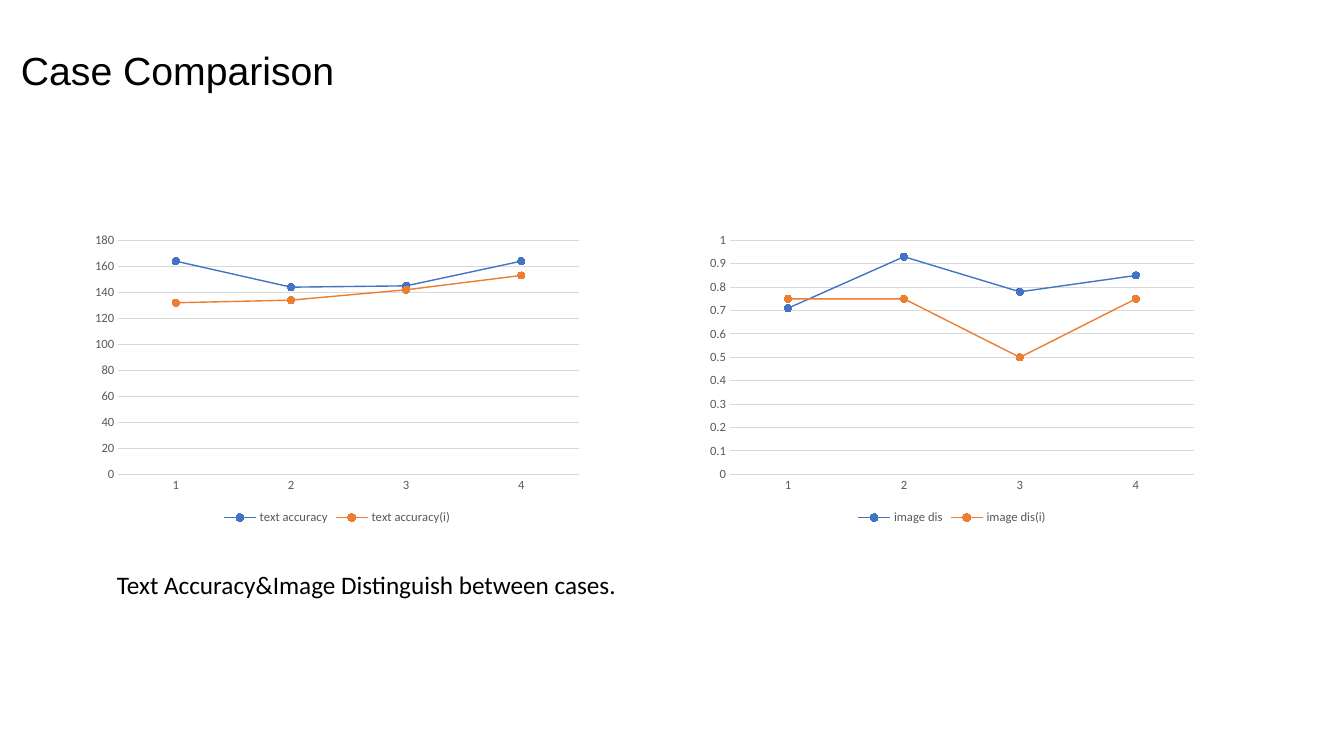
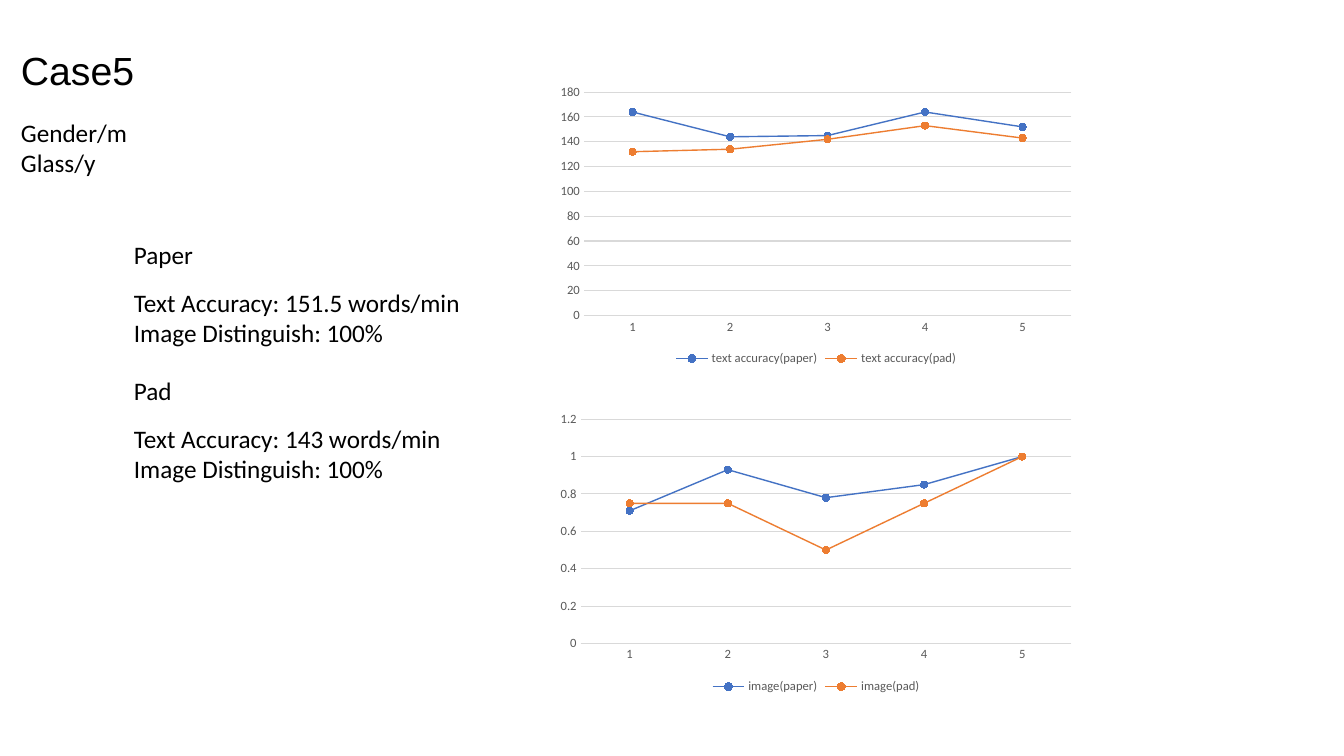
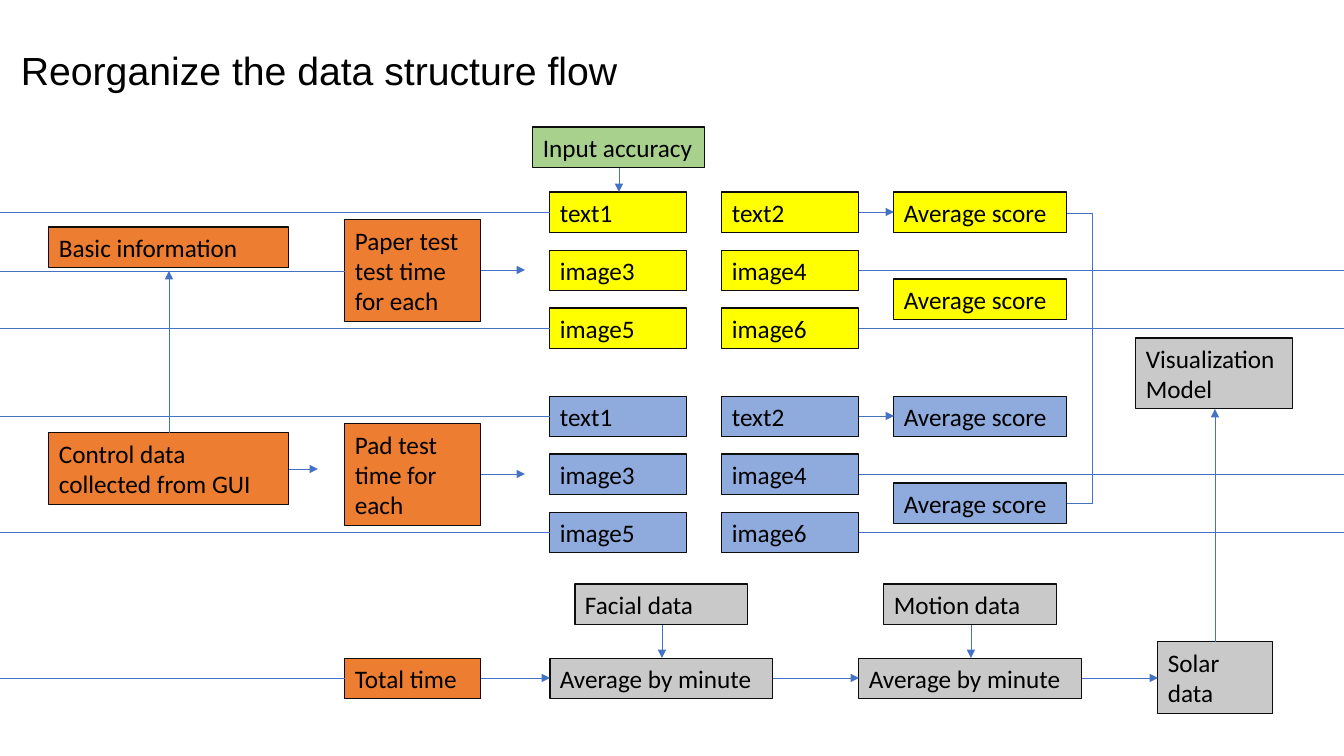
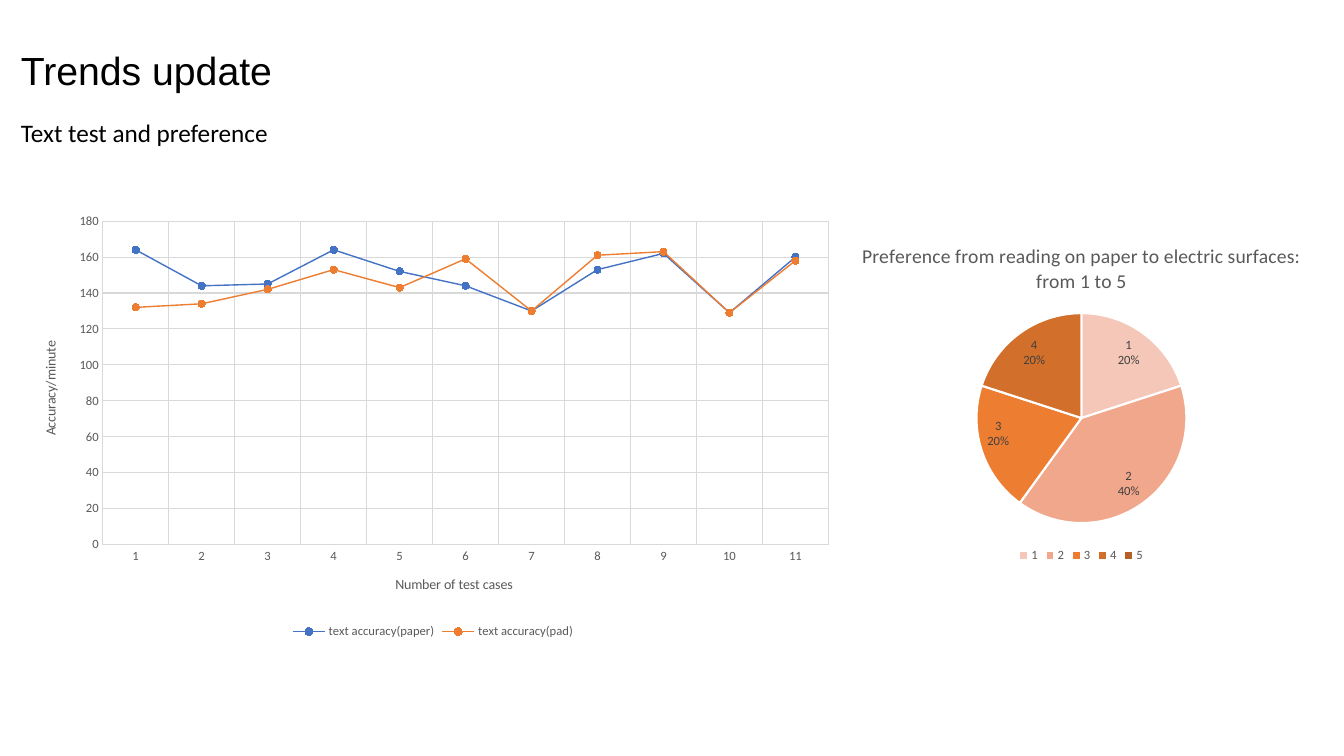
"""Build a four-slide report on reading tests."""
from lxml import etree
from pptx import Presentation
from pptx import util as u
from pptx.chart.data import CategoryChartData
from pptx.dml.color import RGBColor
from pptx.enum import chart as charts, shapes, text
from pptx.oxml import ns

PIXEL = 914400 / 100.8
PAGE_WIDTH, PAGE_HEIGHT = 1344, 756
BLACK, OUTLINE, GREY_TEXT, LABEL_TEXT, GRID = "000000", "0D0D0D", "595959", "404040", "D9D9D9"
BLUE, ORANGE, WHITE = "4472C4", "ED7D31", "FFFFFF"
YELLOW, LIGHT_BLUE, GREEN, SILVER = "FFFF00", "8FAADC", "A9D18E", "C9C9C9"
PIE_COLOURS = ["F5C7B8", "F1A78B", ORANGE, "D26F2B", "B45F25"]
PAPER_WORDS = [164, 144, 145, 164, 152, 144, 130, 153, 162, 129, 160]
PAD_WORDS = [132, 134, 142, 153, 143, 159, 130, 161, 163, 129, 158]
PAPER_IMAGES = [0.71, 0.93, 0.78, 0.85, 1]
PAD_IMAGES = [0.75, 0.75, 0.5, 0.75, 1]


def px(*lengths):
    """Turn pixel lengths into EMU."""
    return [u.Emu(round(length * PIXEL)) for length in lengths]


def colour(value):
    """Turn a hex string into a colour."""
    return RGBColor.from_string(value)


def style_font(font, size, value, name="Calibri"):
    """Give a font its size, colour and typeface."""
    font.size, font.name, font.bold = u.Pt(size), name, False
    font.color.rgb = colour(value)


def style_line(line, value, width):
    """Give a line its colour and width in points."""
    line.color.rgb, line.width = colour(value), u.Pt(width)


def write(frame, lines, size=18, name="Calibri"):
    """Fill a wrapping text frame with one paragraph for each line."""
    frame.word_wrap = True
    frame.text = "\n".join(lines)
    for para in frame.paragraphs:
        para.alignment = text.PP_ALIGN.LEFT
        for span in para.runs:
            style_font(span.font, size, BLACK, name)


def add_text(page, box, *lines):
    """Place plain text in a box."""
    write(page.shapes.add_textbox(*px(*box)).text_frame, lines)


def add_page(deck, title):
    """Add a blank slide with the shared title."""
    page = deck.slides.add_slide(deck.slide_layouts[6])
    frame = page.shapes.add_textbox(*px(11, 42, 779, 70)).text_frame
    frame.margin_left = frame.margin_right = frame.margin_top = frame.margin_bottom = u.Inches(0.1)
    write(frame, [title], 28, "Arial")
    frame.paragraphs[0].line_spacing = 0.9
    return page


def add_chart(page, box, kind, categories, series):
    """Place a chart with the shared fonts and bottom legend."""
    data = CategoryChartData()
    data.categories = categories
    for name, values in series.items():
        data.add_series(name, values)
    chart = page.shapes.add_chart(kind, *px(*box), data).chart
    style_font(chart.font, 10, BLACK)
    chart.has_title = False
    chart.has_legend = True
    chart.legend.position = charts.XL_LEGEND_POSITION.BOTTOM
    chart.legend.include_in_layout = False
    style_font(chart.legend.font, 9, GREY_TEXT)
    return chart


def add_chart_title(owner, frame, wording, size):
    """Write the title of a chart or an axis."""
    owner.has_title = True
    frame.text = wording
    style_font(frame.paragraphs[0].runs[0].font, size, GREY_TEXT)


def add_line_chart(page, box, series):
    """Place a two-series line chart with numbered cases."""
    count = len(next(iter(series.values())))
    categories = [str(number + 1) for number in range(count)]
    chart = add_chart(page, box, charts.XL_CHART_TYPE.LINE_MARKERS, categories, series)
    chart.plots[0].vary_by_categories = False
    for axis in (chart.category_axis, chart.value_axis):
        axis.major_tick_mark = axis.minor_tick_mark = charts.XL_TICK_MARK.NONE
        style_font(axis.tick_labels.font, 9, GREY_TEXT)
    style_line(chart.category_axis.format.line, GRID, 0.75)
    chart.value_axis.format.line.fill.background()
    style_line(chart.value_axis.major_gridlines.format.line, GRID, 0.75)
    for line, value in zip(chart.plots[0].series, (BLUE, ORANGE)):
        line.smooth = False
        style_line(line.format.line, value, 1)
        marker = line.marker
        marker.style, marker.size = charts.XL_MARKER_STYLE.CIRCLE, 5
        marker.format.fill.solid()
        marker.format.fill.fore_color.rgb = colour(value)
        style_line(marker.format.line, value, 0.75)
    return chart


def add_preference_pie(page, box):
    """Place the pie of reading preferences."""
    shares = {"Series 1": [20, 40, 20, 20, 0]}
    chart = add_chart(page, box, charts.XL_CHART_TYPE.PIE, list("12345"), shares)
    add_chart_title(chart, chart.chart_title.text_frame,
                    "Preference from reading on paper to electric surfaces: from 1 to 5", 14)
    series = chart.plots[0].series[0]
    for index, value in enumerate(PIE_COLOURS):
        style = series.points[index].format
        style.fill.solid()
        style.fill.fore_color.rgb = colour(value)
        style_line(style.line, WHITE, 1.5)
    labels = series.data_labels
    labels.show_value = False
    labels.show_category_name = labels.show_percentage = True
    labels.position = charts.XL_LABEL_POSITION.INSIDE_END
    style_font(labels.font, 9, LABEL_TEXT)
    node = labels._element
    separator = etree.Element(ns.qn("c:separator"))
    separator.text = "\n"
    node.find(ns.qn("c:showBubbleSize")).addnext(separator)
    empty_share = etree.Element(ns.qn("c:dLbl"))
    etree.SubElement(empty_share, ns.qn("c:idx")).set("val", "4")
    etree.SubElement(empty_share, ns.qn("c:delete")).set("val", "1")
    node.insert(0, empty_share)


def add_box(page, box, wording, fill):
    """Place a filled, outlined box of text."""
    shape = page.shapes.add_shape(shapes.MSO_SHAPE.RECTANGLE, *px(*box))
    shape.shadow.inherit = False
    shape.fill.solid()
    shape.fill.fore_color.rgb = colour(fill)
    style_line(shape.line, OUTLINE, 0.75)
    shape.text_frame.vertical_anchor = text.MSO_ANCHOR.TOP
    write(shape.text_frame, [wording])


def add_link(page, start, end, arrow=True):
    """Draw a straight link, with an arrowhead at its end if wanted."""
    link = page.shapes.add_connector(shapes.MSO_CONNECTOR.STRAIGHT, *px(*start, *end))
    style_line(link.line, BLUE, 0.5)
    if arrow:
        head = etree.SubElement(link.line._get_or_add_ln(), ns.qn("a:tailEnd"))
        head.set("type", "triangle")
    etree.SubElement(link._element.spPr, ns.qn("a:effectLst"))


def add_bracket(page, points):
    """Draw an open outline through the points."""
    builder = page.shapes.build_freeform(*points[0], scale=PIXEL)
    builder.add_line_segments(points[1:], close=False)
    bracket = builder.convert_to_shape()
    bracket.shadow.inherit = False
    bracket.fill.background()
    style_line(bracket.line, BLUE, 0.5)


def add_test(page, top, wording, fill):
    """Place one test: its stage, six items, two scores and links."""
    left, width, height, column, row = 550, 137, 41, 172, 58
    middles = [top + height // 2 + row * index for index in range(3)]
    right = left + column + width
    add_box(page, (345, top + 28, 136, 102), wording, ORANGE)
    for index, item in enumerate(["text1", "text2", "image3", "image4", "image5", "image6"]):
        place = (left + column * (index % 2), top + row * (index // 2), width, height)
        add_box(page, place, item, fill)
    for offset in (0, 87):
        add_box(page, (left + 2 * column, top + offset, 173, height), "Average score", fill)
    for middle in (middles[0], middles[2]):
        add_link(page, (0, middle), (left, middle), arrow=False)
    for middle in middles[1:]:
        add_link(page, (right, middle), (PAGE_WIDTH, middle), arrow=False)
    add_link(page, (481, middles[1]), (525, middles[1]))
    add_link(page, (right, middles[0]), (left + 2 * column, middles[0]))


def add_sensor_row(page, top):
    """Place the bottom row, from total time to the model."""
    middle = top + 20
    add_box(page, (345, top, 136, 41), "Total time", ORANGE)
    add_link(page, (0, middle), (345, middle), arrow=False)
    for left, wording in ((550, "Facial data"), (859, "Motion data")):
        add_box(page, (left + 25, top - 74, 173, 41), wording, SILVER)
        add_box(page, (left, top, 223, 41), "Average by minute", SILVER)
        add_link(page, (left + 112, top - 33), (left + 112, top))
    add_box(page, (1158, top - 16, 115, 72), "Solar data", SILVER)
    add_box(page, (1136, 338, 157, 71), "Visualization Model", SILVER)
    for start, end in ((481, 550), (773, 859), (1082, 1158)):
        add_link(page, (start, middle), (end, middle))
    add_link(page, (1215, top - 16), (1215, 409))


def add_comparison_page(deck):
    """Compare the first four cases."""
    page = add_page(deck, "Case Comparison")
    add_line_chart(page, (85, 227, 504, 302),
                   {"text accuracy": PAPER_WORDS[:4], "text accuracy(i)": PAD_WORDS[:4]})
    add_line_chart(page, (700, 227, 504, 302),
                   {"image dis": PAPER_IMAGES[:4], "image dis(i)": PAD_IMAGES[:4]})
    add_text(page, (107, 564, 531, 40), "Text Accuracy&Image Distinguish between cases.")


def add_case_page(deck):
    """Show the results of case five."""
    page = add_page(deck, "Case5")
    add_text(page, (11, 112, 164, 163), "Gender/m", "Glass/y")
    for index, (medium, speed) in enumerate((("Paper", "151.5"), ("Pad", "143"))):
        top = 234 + 136 * index
        add_text(page, (124, top, 80, 40), medium)
        add_text(page, (124, top + 48, 350, 72),
                 f"Text Accuracy: {speed} words/min", "Image Distinguish: 100%")
    add_line_chart(page, (550, 79, 532, 291),
                   {"text accuracy(paper)": PAPER_WORDS[:5], "text accuracy(pad)": PAD_WORDS[:5]})
    add_line_chart(page, (550, 406, 532, 292),
                   {"image(paper)": PAPER_IMAGES, "image(pad)": PAD_IMAGES})


def add_flow_page(deck):
    """Show how the data flows into the model."""
    page = add_page(deck, "Reorganize the data structure flow")
    add_box(page, (49, 433, 240, 72), "Control data collected from GUI", ORANGE)
    add_box(page, (49, 227, 240, 41), "Basic information", ORANGE)
    add_box(page, (533, 127, 172, 41), "Input accuracy", GREEN)
    add_test(page, 192, "Paper test test time for each", YELLOW)
    add_test(page, 396, "Pad test time for each", LIGHT_BLUE)
    add_sensor_row(page, 658)
    add_link(page, (0, 271), (345, 271), arrow=False)
    add_link(page, (169, 433), (169, 271))
    add_link(page, (289, 469), (318, 469))
    add_link(page, (619, 168), (619, 192))
    add_bracket(page, [(1067, 213), (1092, 213), (1092, 503), (1067, 503)])


def add_trends_page(deck):
    """Show the trend over all cases and the preferences."""
    page = add_page(deck, "Trends update")
    add_text(page, (11, 112, 460, 132), "Text test and preference")
    add_preference_pie(page, (798, 227, 567, 340))
    chart = add_line_chart(page, (21, 205, 824, 438),
                           {"text accuracy(paper)": PAPER_WORDS, "text accuracy(pad)": PAD_WORDS})
    titles = ((chart.category_axis, "Number of test cases"), (chart.value_axis, "Accuracy/minute"))
    for axis, wording in titles:
        add_chart_title(axis, axis.axis_title.text_frame, wording, 10)
    style_line(chart.category_axis.major_gridlines.format.line, GRID, 0.75)


def main():
    """Build and save the deck."""
    deck = Presentation()
    deck.slide_width, deck.slide_height = px(PAGE_WIDTH, PAGE_HEIGHT)
    for add_slide in (add_comparison_page, add_case_page, add_flow_page, add_trends_page):
        add_slide(deck)
    deck.save("out.pptx")


main()
